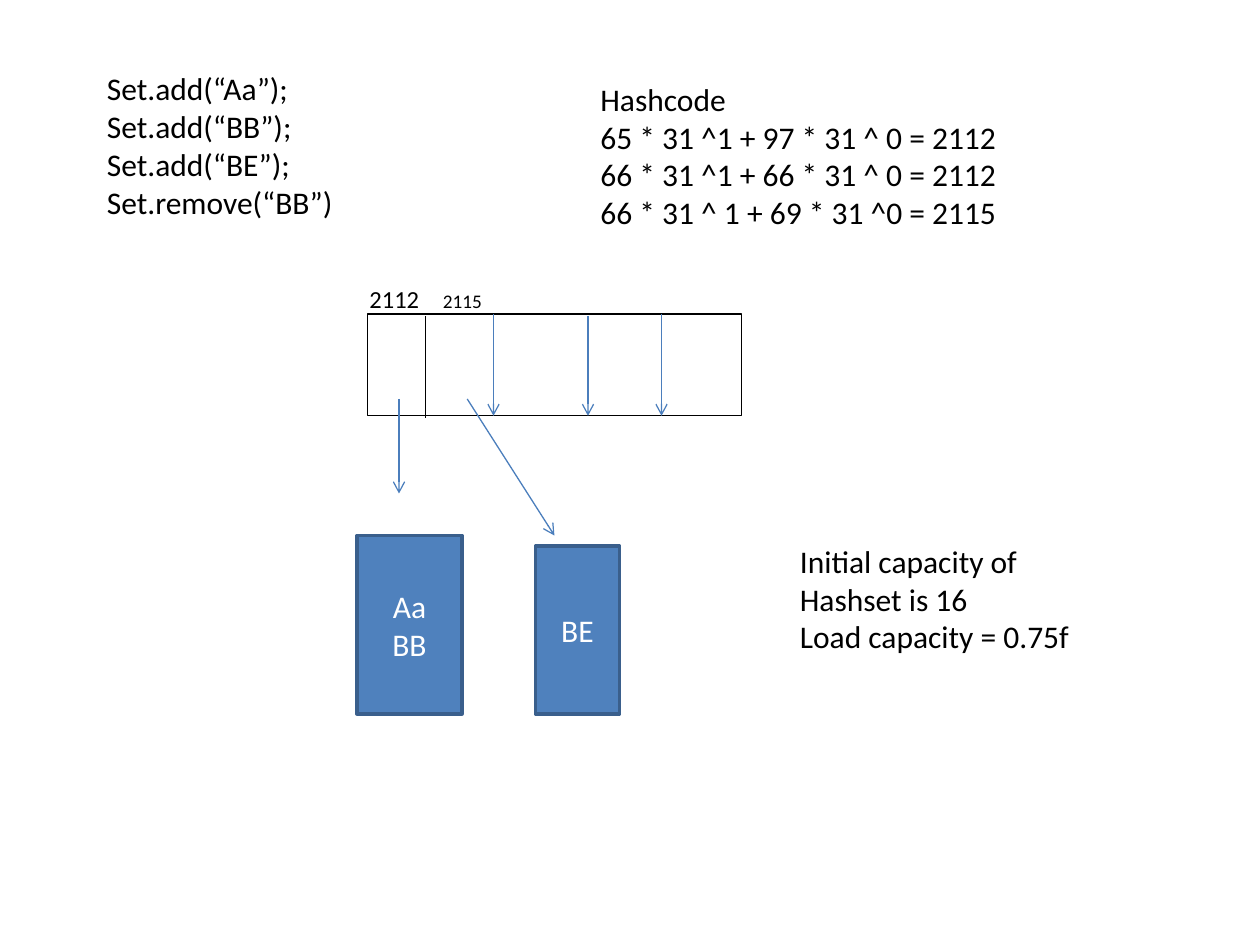
from pptx import Presentation
from pptx.dml.color import RGBColor
from pptx.enum.shapes import MSO_CONNECTOR, MSO_SHAPE
from pptx.enum.text import MSO_ANCHOR, MSO_AUTO_SIZE, PP_ALIGN
from pptx.oxml.ns import qn
from pptx.util import Inches, Pt
from lxml import etree

STRAIGHT = MSO_CONNECTOR.STRAIGHT
RECTANGLE = MSO_SHAPE.RECTANGLE
MIDDLE = MSO_ANCHOR.MIDDLE
FIT_SHAPE = MSO_AUTO_SIZE.SHAPE_TO_FIT_TEXT
LEFT, CENTER = PP_ALIGN.LEFT, PP_ALIGN.CENTER
COLORS = {"black": "000000", "white": "FFFFFF", "arrow": "4B7EBC",
          "node": "4F81BD", "border": "3A5F8C"}
COLUMNS, ROWS = 120, 90


class Diagram:
    """Draws hash table elements on a slide divided into 120 columns and 90 rows."""

    font_name = "Calibri"

    def __init__(self, presentation):
        self.slide = presentation.slides.add_slide(presentation.slide_layouts[6])
        self.column = presentation.slide_width / COLUMNS
        self.row = presentation.slide_height / ROWS

    def place(self, *lengths):
        units = (self.column, self.row) * 2
        return [round(length * unit) for length, unit in zip(lengths, units)]

    def color(self, name):
        return RGBColor.from_string(COLORS[name])

    def set_text(self, shape, lines, size, color, alignment):
        frame = shape.text_frame
        frame.word_wrap = True
        frame.text = "\n".join(lines)
        for paragraph in frame.paragraphs:
            paragraph.alignment = alignment
            paragraph.font.name = self.font_name
            paragraph.font.size = Pt(size)
            paragraph.font.color.rgb = self.color(color)

    def text(self, box, lines, size=18):
        shape = self.slide.shapes.add_textbox(*self.place(*box))
        self.set_text(shape, lines, size, "black", LEFT)
        shape.text_frame.auto_size = FIT_SHAPE

    def rectangle(self, box, fill, border, width, lines=()):
        shape = self.slide.shapes.add_shape(RECTANGLE, *self.place(*box))
        shape.shadow.inherit = False
        shape.fill.solid()
        shape.fill.fore_color.rgb = self.color(fill)
        shape.line.color.rgb = self.color(border)
        shape.line.width = Pt(width)
        if lines:
            self.set_text(shape, lines, 18, "white", CENTER)
            shape.text_frame.vertical_anchor = MIDDLE

    def node(self, box, lines):
        self.rectangle(box, "node", "border", 2, lines)

    def line(self, ends, color="black"):
        connector = self.slide.shapes.add_connector(STRAIGHT, *self.place(*ends))
        connector.line.color.rgb = self.color(color)
        connector.line.width = Pt(0.75)
        properties = connector._element.spPr
        etree.SubElement(properties, qn("a:effectLst"))
        return properties.find(qn("a:ln"))

    def arrow(self, ends):
        etree.SubElement(self.line(ends, "arrow"), qn("a:tailEnd"), type="arrow")


presentation = Presentation()
presentation.slide_width, presentation.slide_height = Inches(10), Inches(7.5)
diagram = Diagram(presentation)

table_top, table_bottom = 29.9, 39.6
diagram.rectangle((35, table_top, 35.6, table_bottom - table_top), "white", "black", 0.75)
diagram.line((40.5, 30.1, 40.5, 39.8))
for column, top in ((47, table_top), (56, 30.1), (63, table_top)):
    diagram.arrow((column, top, column, table_bottom))
diagram.arrow((38, 38, 38, 47))
diagram.node((34, 51, 10, 17), ["Aa", "BB"])
diagram.text((56, 7, 50, 15.7), [
    "Hashcode",
    "65 * 31 ^1 + 97 * 31 ^ 0 = 2112",
    "66 * 31 ^1 + 66 * 31 ^ 0 = 2112",
    "66 * 31 ^ 1 + 69 * 31 ^0 = 2115",
])
diagram.text((34, 26.5, 9, 4.1), ["2112"], 14)
diagram.text((9, 6, 30, 15.7), [
    "Set.add(“Aa”);",
    "Set.add(“BB”);",
    "Set.add(“BE”);",
    "Set.remove(“BB”)",
])
diagram.text((41, 27, 7, 3.4), ["2115"], 11)
diagram.arrow((44.5, 38, 52.8, 51))
diagram.node((51, 52, 8, 16), ["BE"])
diagram.text((75, 51, 33, 12.1), ["Initial capacity of Hashset is 16", "Load capacity = 0.75f"])

presentation.save("out.pptx")
